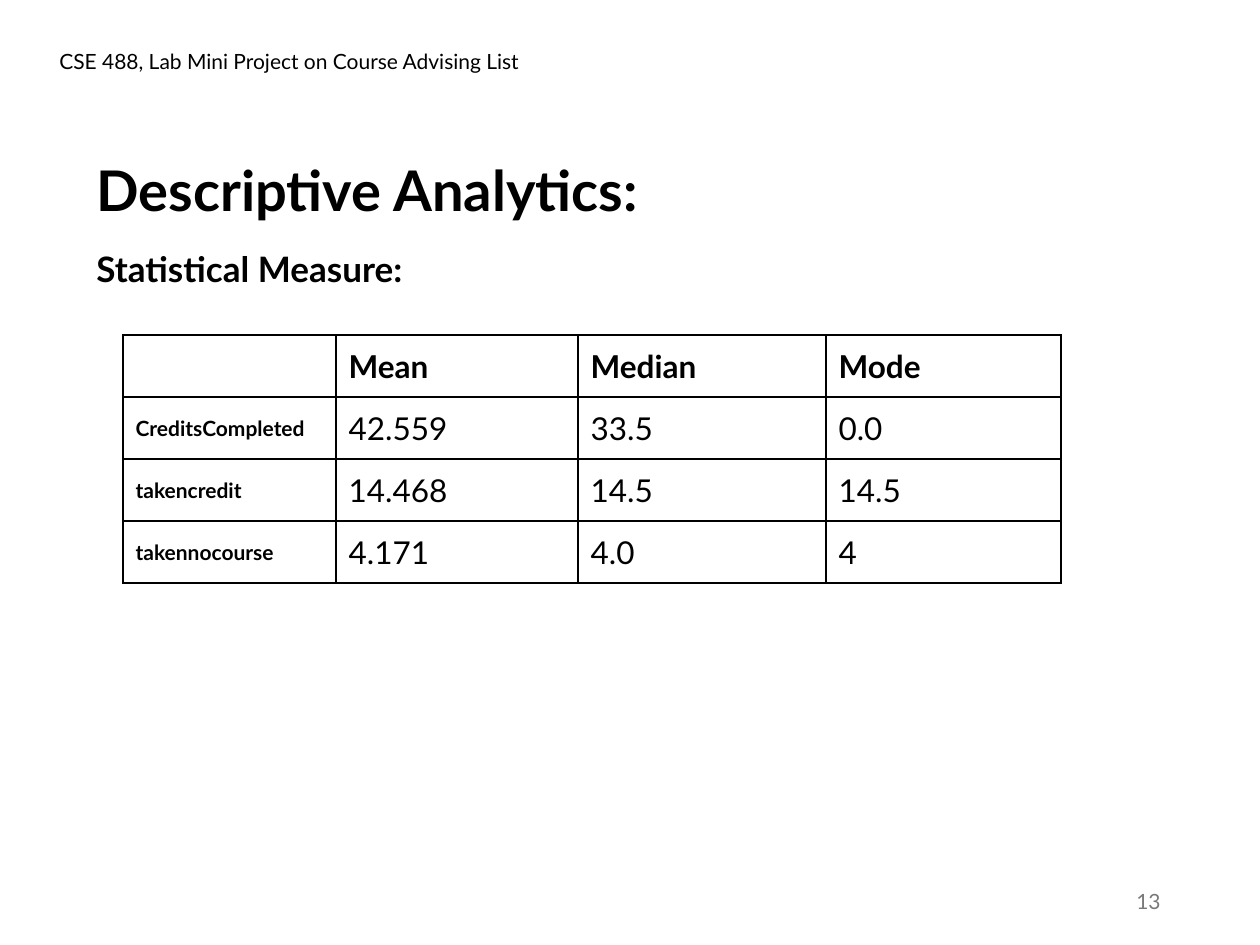
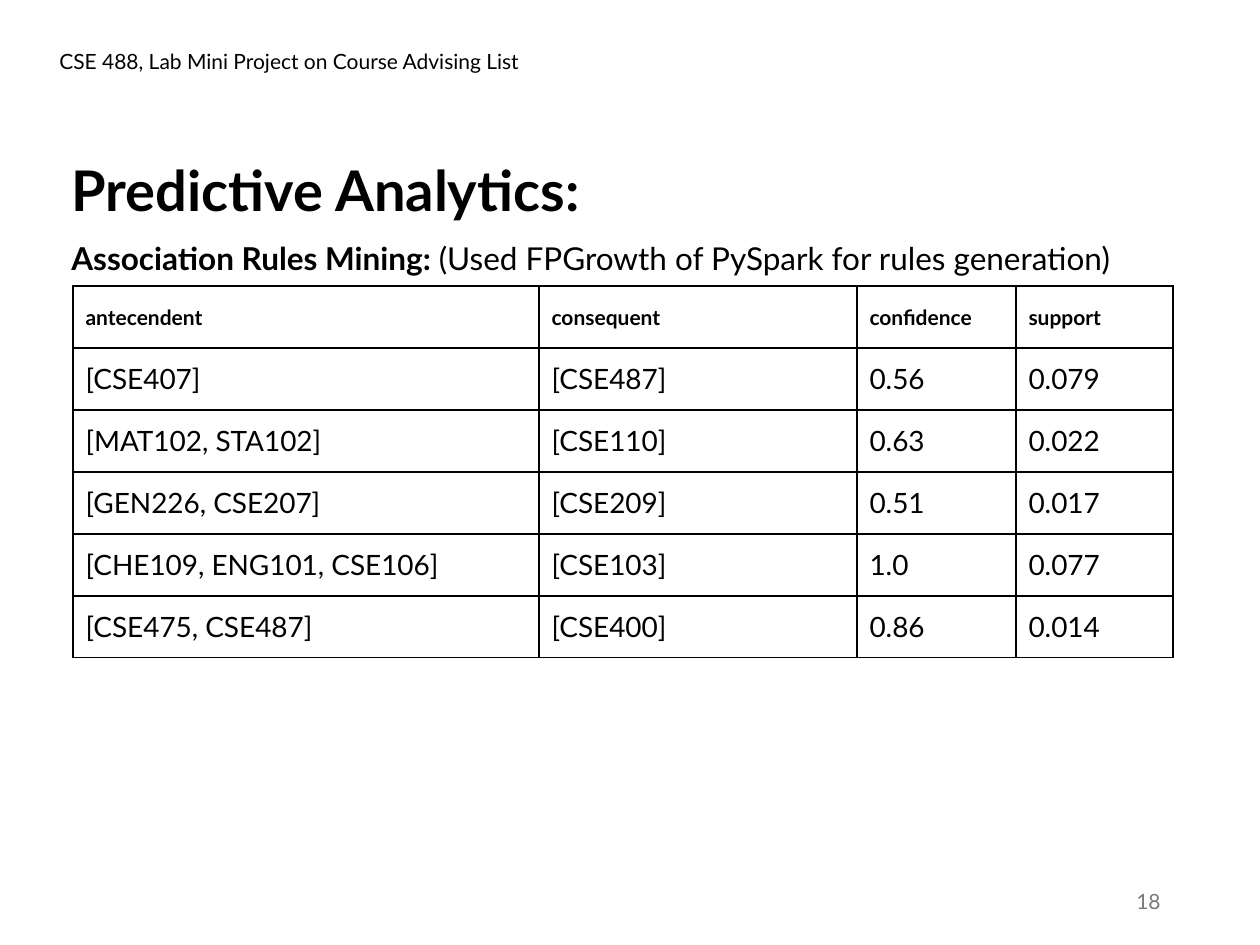
from dataclasses import dataclass

from lxml.etree import SubElement
from pptx import Presentation
from pptx.dml.color import RGBColor as RGB
from pptx.enum.text import MSO_ANCHOR as ANCHOR, MSO_AUTO_SIZE as AUTO, PP_ALIGN as ALIGN
from pptx.oxml.ns import qn
from pptx.util import Emu, Pt

PX = 914400 / 126


@dataclass(frozen=True)
class Theme:
    """Holds the font, colours and type sizes."""
    font: str = "Lato"
    ink: str = "000000"
    muted: str = "797979"
    title: int = 32
    heading: int = 20
    large: int = 18
    medium: int = 16
    small: int = 12
    rule: int = 1


T = Theme()
RUNNING_HEAD = "CSE 488, Lab Mini Project on Course Advising List"
HEAD_BOX = (47, 42, 683, 63)
NUMBER_BOX = (890, 876, 283, 50)
TITLE_Y, TITLE_W, TITLE_H = 149, 993, 81
ROW_H = 62


def px(n):
    """Turn pixels into EMU."""
    return Emu(round(n * PX))


def add_run(p, text, size, bold=False, color=T.ink):
    """Add one formatted run to a paragraph."""
    r = p.add_run()
    r.text = text
    r.font.name, r.font.size, r.font.bold = T.font, Pt(size), bold
    r.font.color.rgb = RGB.from_string(color)


def add_text(s, box, runs, align=ALIGN.LEFT, anchor=ANCHOR.TOP, spacing=1.0):
    """Add a wrapped text box made of runs."""
    tf = s.shapes.add_textbox(*map(px, box)).text_frame
    tf.word_wrap, tf.vertical_anchor = True, anchor
    p = tf.paragraphs[0]
    p.alignment, p.line_spacing = align, spacing
    for run in runs:
        add_run(p, *run)


def add_title(s, x, text):
    """Place and format the title placeholder."""
    sp = s.shapes.title
    sp.left, sp.top, sp.width, sp.height = map(px, (x, TITLE_Y, TITLE_W, TITLE_H))
    tf = sp.text_frame
    tf.word_wrap, tf.auto_size, tf.vertical_anchor = True, AUTO.NONE, ANCHOR.TOP
    p = tf.paragraphs[0]
    p.alignment = ALIGN.LEFT
    add_run(p, text, T.title, True)


def set_borders(cell):
    """Draw a thin line on all four sides of a cell."""
    tc_pr = cell._tc.get_or_add_tcPr()
    for side in ("lnL", "lnR", "lnT", "lnB"):
        ln = SubElement(tc_pr, qn(f"a:{side}"), w=str(Pt(T.rule)))
        SubElement(SubElement(ln, qn("a:solidFill")), qn("a:srgbClr"), val=T.ink)


def add_grid(s, x, y, widths, rows, head_size, body_size, row_labels=False):
    """Add a ruled table with a bold header and optional bold row labels."""
    table = s.shapes.add_table(len(rows), len(widths), px(x), px(y),
                               px(sum(widths)), px(ROW_H * len(rows))).table
    table.first_row = table.horz_banding = False
    for col, width in zip(table.columns, widths):
        col.width = px(width)
    for i, values in enumerate(rows):
        table.rows[i].height = px(ROW_H)
        for j, text in enumerate(values):
            cell = table.cell(i, j)
            set_borders(cell)
            cell.fill.background()
            cell.vertical_anchor = ANCHOR.MIDDLE
            is_label = row_labels and i > 0 and j == 0
            size = T.small if is_label else body_size if i else head_size
            if text:
                add_run(cell.text_frame.paragraphs[0], text, size, i == 0 or is_label)


def add_page(prs, x, title, number):
    """Add a slide with its title, running head and page number."""
    s = prs.slides.add_slide(prs.slide_layouts[5])
    add_title(s, x, title)
    add_text(s, NUMBER_BOX, [(number, T.small, False, T.muted)], ALIGN.RIGHT, ANCHOR.MIDDLE)
    add_text(s, HEAD_BOX, [(RUNNING_HEAD, T.small)])
    return s


def descriptive_slide(prs, x=84):
    """Build the slide of statistical measures."""
    s = add_page(prs, x, "Descriptive Analytics:", "13")
    add_text(s, (x, 199, 1056, 86), [("Statistical Measure:", T.heading, True)], spacing=2.0)
    rows = [("", "Mean", "Median", "Mode"),
            ("CreditsCompleted", "42.559", "33.5", "0.0"),
            ("takencredit", "14.468", "14.5", "14.5"),
            ("takennocourse", "4.171", "4.0", "4")]
    add_grid(s, x + 39, 335, (213, 242, 248, 235), rows, T.large, T.large, row_labels=True)


def predictive_slide(prs, x=59):
    """Build the slide of association rules."""
    s = add_page(prs, x, "Predictive Analytics:", "18")
    rows = [("antecendent", "consequent", "confidence", "support"),
            ("[CSE407]", "[CSE487]", "0.56", "0.079"),
            ("[MAT102, STA102]", "[CSE110]", "0.63", "0.022"),
            ("[GEN226, CSE207]", "[CSE209]", "0.51", "0.017"),
            ("[CHE109, ENG101, CSE106]", "[CSE103]", "1.0", "0.077"),
            ("[CSE475, CSE487]", "[CSE400]", "0.86", "0.014")]
    add_grid(s, x + 14, 286, (466, 318, 159, 157), rows, T.small, T.medium)
    add_text(s, (x, 195, 1075, 79),
             [("Association Rules Mining: ", T.large, True),
              ("(Used FPGrowth of PySpark for rules generation)", T.large)], spacing=2.0)


def main():
    """Build and save the presentation."""
    prs = Presentation()
    prs.slide_width, prs.slide_height = px(1260), px(945)
    descriptive_slide(prs)
    predictive_slide(prs)
    prs.save("out.pptx")


if __name__ == "__main__":
    main()
